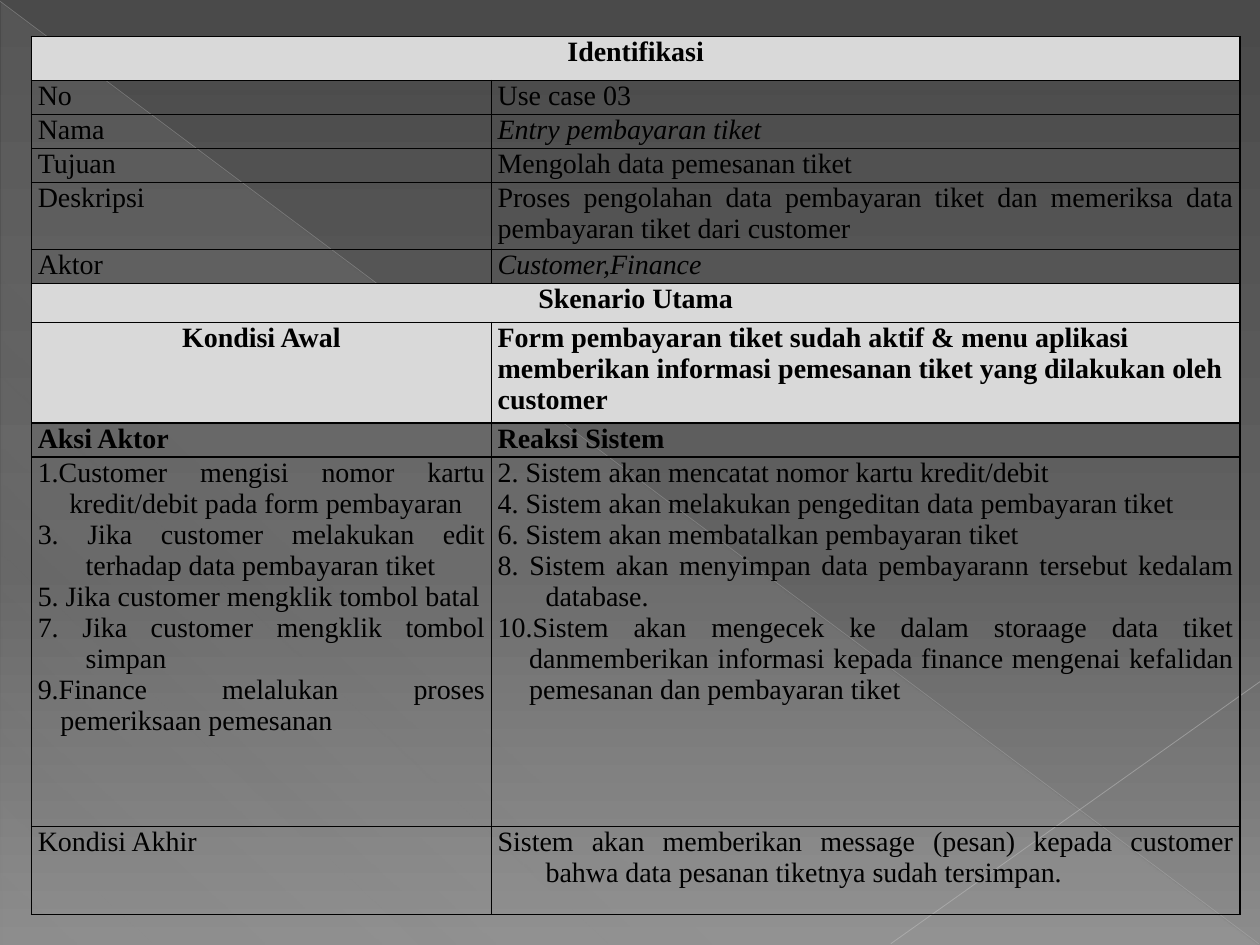
from lxml import etree
from pptx import Presentation
from pptx.dml.color import RGBColor
from pptx.enum.shapes import MSO_CONNECTOR, MSO_SHAPE
from pptx.enum.text import PP_ALIGN
from pptx.oxml import parse_xml
from pptx.oxml.ns import nsdecls, qn
from pptx.util import Inches, Pt

LEFT, CENTER, JUSTIFY = PP_ALIGN.LEFT, PP_ALIGN.CENTER, PP_ALIGN.JUSTIFY
BLACK = RGBColor(0x00, 0x00, 0x00)
BAND_GREY = RGBColor(0xD9, 0xD9, 0xD9)
DARK = RGBColor(0x4A, 0x4A, 0x4A)
MEDIUM = RGBColor(0x62, 0x62, 0x62)
LIGHT = RGBColor(0x8C, 0x8C, 0x8C)
SHEEN = RGBColor(0xD2, 0xD2, 0xD2)
LONG_LINE = RGBColor(0xBF, 0xBF, 0xBF)
SHORT_LINE = RGBColor(0xC6, 0xC6, 0xC6)


def set_gradient(holder, stops, angle):
    """Swap the first solid fill in holder for stops of (position, colour, opacity), in percent."""
    stop_xml = "".join(
        f'<a:gs pos="{position * 1000}"><a:srgbClr val="{color}">'
        f'<a:alpha val="{opacity * 1000}"/></a:srgbClr></a:gs>'
        for position, color, opacity in stops
    )
    gradient = parse_xml(
        f'<a:gradFill {nsdecls("a")} rotWithShape="1"><a:gsLst>{stop_xml}</a:gsLst>'
        f'<a:lin ang="{angle * 60000}" scaled="0"/></a:gradFill>'
    )
    solid = holder.find(".//" + qn("a:solidFill"))
    solid.getparent().replace(solid, gradient)


deck = Presentation()
deck.slide_width, deck.slide_height = Inches(10), Inches(7.5)
page = deck.slides.add_slide(deck.slide_layouts[6])

# Backdrop
page.background.fill.solid()
set_gradient(page._element, [(0, DARK, 100), (60, MEDIUM, 100), (100, LIGHT, 100)], 90)

triangle = page.shapes.add_shape(
    MSO_SHAPE.RIGHT_TRIANGLE, Inches(0.01), Inches(0.02), Inches(9.98), Inches(7.48)
)
triangle.shadow.inherit = False
triangle.line.fill.background()
triangle.fill.solid()
set_gradient(triangle._element, [(0, SHEEN, 10), (70, SHEEN, 8), (100, SHEEN, 1)], 133)

for x1, y1, x2, y2, color, width, opacity in [
    (0, 0.01, 9.99, 7.49, LONG_LINE, 0.39, 35),
    (10, 5.41, 7.07, 7.49, SHORT_LINE, 0.47, 45),
]:
    line = page.shapes.add_connector(
        MSO_CONNECTOR.STRAIGHT, Inches(x1), Inches(y1), Inches(x2), Inches(y2)
    )
    line.line.color.rgb = color
    line.line.width = Pt(width)
    color_element = line._element.spPr.find(".//" + qn("a:srgbClr"))
    etree.SubElement(color_element, qn("a:alpha"), val=str(opacity * 1000))
    etree.SubElement(line._element.spPr, qn("a:effectLst"))

# Use case rows: height, style, then one list of (text, hanging indent) per cell
ROWS = [
    (0.35, "band", [[("Identifikasi", 0)]]),
    (0.27, "plain", [[("No", 0)], [("Use case 03", 0)]]),
    (0.27, "italic", [[("Nama", 0)], [("Entry pembayaran tiket", 0)]]),
    (0.27, "plain", [[("Tujuan", 0)], [("Mengolah data pemesanan tiket", 0)]]),
    (0.53, "plain", [
        [("Deskripsi", 0)],
        [("Proses pengolahan data pembayaran tiket dan memeriksa data "
          "pembayaran tiket dari customer", 0)],
    ]),
    (0.27, "italic", [[("Aktor", 0)], [("Customer,Finance", 0)]]),
    (0.31, "band", [[("Skenario Utama", 0)]]),
    (0.8, "band", [
        [("Kondisi Awal", 0)],
        [("Form pembayaran tiket sudah aktif & menu aplikasi memberikan informasi "
          "pemesanan tiket yang dilakukan oleh customer", 0)],
    ]),
    (0.27, "bold", [[("Aksi Aktor", 0)], [("Reaksi Sistem", 0)]]),
    (2.93, "plain", [
        [
            ("1.Customer mengisi nomor kartu kredit/debit pada form pembayaran", 0.25),
            ("3. Jika customer melakukan edit terhadap data pembayaran tiket", 0.38),
            ("5. Jika customer mengklik tombol batal", 0.38),
            ("7. Jika customer mengklik tombol simpan", 0.38),
            ("9.Finance melalukan proses pemeriksaan pemesanan", 0.18),
        ],
        [
            ("2. Sistem akan mencatat nomor kartu kredit/debit", 0.38),
            ("4. Sistem akan melakukan pengeditan data pembayaran tiket", 0.38),
            ("6. Sistem akan membatalkan pembayaran tiket", 0.38),
            ("8. Sistem akan menyimpan data pembayarann tersebut kedalam database.", 0.38),
            ("10.Sistem akan mengecek ke dalam storaage data tiket danmemberikan informasi "
             "kepada finance mengenai kefalidan pemesanan dan pembayaran tiket", 0.25),
        ],
    ]),
    (0.7, "plain", [
        [("Kondisi Akhir", 0)],
        [("Sistem akan memberikan message (pesan) kepada customer bahwa data "
          "pesanan tiketnya sudah tersimpan.", 0.38)],
    ]),
]

table = page.shapes.add_table(
    len(ROWS), 2, Inches(0.25), Inches(0.29), Inches(9.59), Inches(6.97)
).table
table.first_row = table.horz_banding = False
table.columns[0].width, table.columns[1].width = Inches(3.65), Inches(5.94)

for row, (height, style, contents) in enumerate(ROWS):
    table.rows[row].height = Inches(height)
    if len(contents) == 1:
        table.cell(row, 0).merge(table.cell(row, 1))

    for column in range(2):
        cell = table.cell(row, column)
        cell.margin_left = cell.margin_right = Inches(0.05)
        cell.margin_top = cell.margin_bottom = 0
        if style == "band":
            cell.fill.solid()
            cell.fill.fore_color.rgb = BAND_GREY
        else:
            cell.fill.background()
        properties = cell._tc.get_or_add_tcPr()
        for index, side in enumerate(["lnL", "lnR", "lnT", "lnB"]):
            properties.insert(index, parse_xml(
                f'<a:{side} {nsdecls("a")} w="{Pt(1)}"><a:solidFill>'
                f'<a:srgbClr val="{BLACK}"/></a:solidFill></a:{side}>'
            ))

    for column, paragraphs in enumerate(contents):
        frame = table.cell(row, column).text_frame
        for number, (text, hanging) in enumerate(paragraphs):
            para = frame.add_paragraph() if number else frame.paragraphs[0]
            para.text = text
            para.alignment = JUSTIFY
            if style == "band":
                para.alignment = LEFT if column else CENTER
            if hanging:
                indent = para._p.get_or_add_pPr()
                indent.set("marL", str(Inches(hanging)))
                indent.set("indent", str(-Inches(hanging)))
            para.font.name = "Times New Roman"
            para.font.size = Pt(16)
            para.font.color.rgb = BLACK
            para.font.bold = style in ("band", "bold")
            para.font.italic = style == "italic" and column == 1

deck.save("out.pptx")
